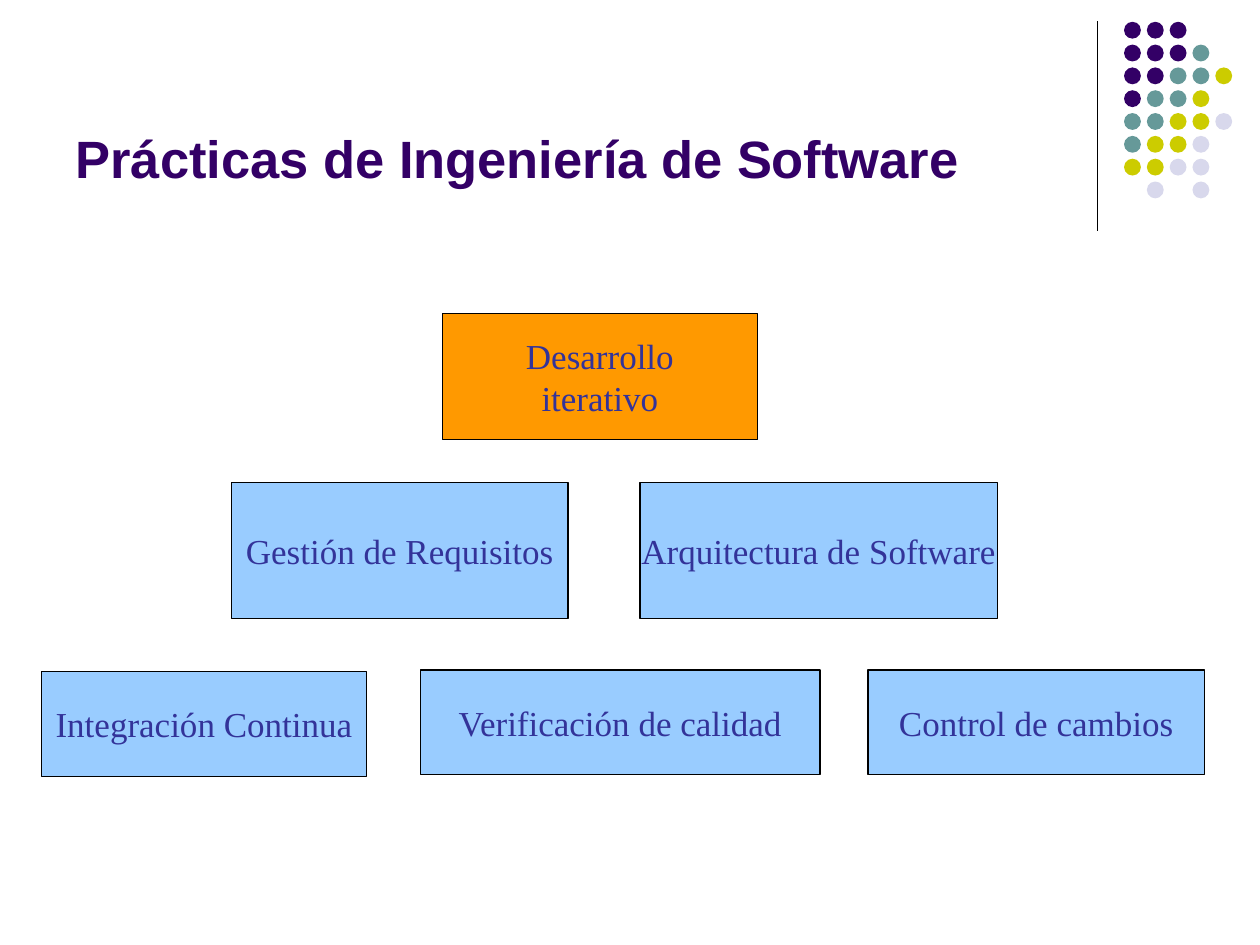
import pptx
import pptx.dml.color
import pptx.enum.shapes
import pptx.enum.text
import pptx.oxml
import pptx.util

Cm = pptx.util.Cm
Pt = pptx.util.Pt
Kind = pptx.enum.shapes.MSO_SHAPE
Align = pptx.enum.text.PP_ALIGN
Anchor = pptx.enum.text.MSO_ANCHOR


def tint(code):
    return pptx.dml.color.RGBColor.from_string(code)


class Deck:
    ink = "333399"
    dark = "330066"
    edge = "000000"
    thin = 0.75

    def __init__(self, wide, high):
        self.file = pptx.Presentation()
        self.file.slide_width = Cm(wide)
        self.file.slide_height = Cm(high)
        self.slide = self.file.slides.add_slide(self.file.slide_layouts[5])

    def label(self, frame, text, face, size, code, bold, align):
        frame.text = text
        for para in frame.paragraphs:
            para.alignment = align
            for run in para.runs:
                run.font.name = face
                run.font.size = Pt(size)
                run.font.bold = bold
                run.font.color.rgb = tint(code)

    def title(self, text, *place):
        head = self.slide.shapes.title
        head.left, head.top, head.width, head.height = map(Cm, place)
        frame = head.text_frame
        frame.auto_size = pptx.enum.text.MSO_AUTO_SIZE.NONE
        frame.vertical_anchor = Anchor.BOTTOM
        self.label(frame, text, "Arial", 30, self.dark, True, Align.LEFT)

    def shape(self, kind, fill, *place):
        item = self.slide.shapes.add_shape(kind, *map(Cm, place))
        item.shadow.inherit = False
        item.fill.solid()
        item.fill.fore_color.rgb = tint(fill)
        return item

    def box(self, text, fill, *place):
        item = self.shape(Kind.RECTANGLE, fill, *place)
        item.line.color.rgb = tint(self.edge)
        item.line.width = Pt(self.thin)
        frame = item.text_frame
        frame.word_wrap = False
        frame.vertical_anchor = Anchor.MIDDLE
        self.label(frame, text, "Times New Roman", 20, self.ink, False, Align.CENTER)

    def dot(self, fill, left, top, size):
        self.shape(Kind.OVAL, fill, left, top, size, size).line.fill.background()

    def rule(self, *ends):
        line = self.slide.shapes.add_connector(
            pptx.enum.shapes.MSO_CONNECTOR.STRAIGHT, *map(Cm, ends))
        line.line.color.rgb = tint(self.edge)
        line.line.width = Pt(self.thin)
        props = line._element.spPr
        props.append(pptx.oxml.parse_xml(
            '<a:effectLst xmlns:a="http://schemas.openxmlformats.org/drawingml/2006/main"/>'))


def main():
    deck = Deck(25.4, 19.05)
    deck.rule(22.12, 0.43, 22.12, 4.65)

    hues = {"P": deck.dark, "T": "669999", "Y": "CCCC00", "L": "D8D8EC"}
    rows = ["PPP", "PPPT", "PPTTY", "PTTY", "TTYYL", "TYYL", "YYLL", ".L.L"]
    step = 0.46
    for down, row in enumerate(rows):
        for over, key in enumerate(row):
            if key in hues:
                deck.dot(hues[key], 22.66 + over * step, 0.44 + down * step, 0.34)

    deck.title("Prácticas de Ingeniería de Software", 1.27, 0.33, 20.96, 3.61)

    blue, gold = "99CCFF", "FF9900"
    boxes = [
        ("Gestión de Requisitos", blue, 4.67, 9.73, 6.78, 2.74),
        ("Arquitectura de Software", blue, 12.9, 9.73, 7.21, 2.74),
        ("Integración Continua", blue, 0.84, 13.54, 6.55, 2.11),
        ("Verificación de calidad", blue, 8.48, 13.51, 8.05, 2.11),
        ("Control de cambios", blue, 17.5, 13.51, 6.78, 2.11),
        ("Desarrollo\niterativo", gold, 8.92, 6.32, 6.35, 2.54),
    ]
    for item in boxes:
        deck.box(*item)

    deck.file.save("out.pptx")


if __name__ == "__main__":
    main()
